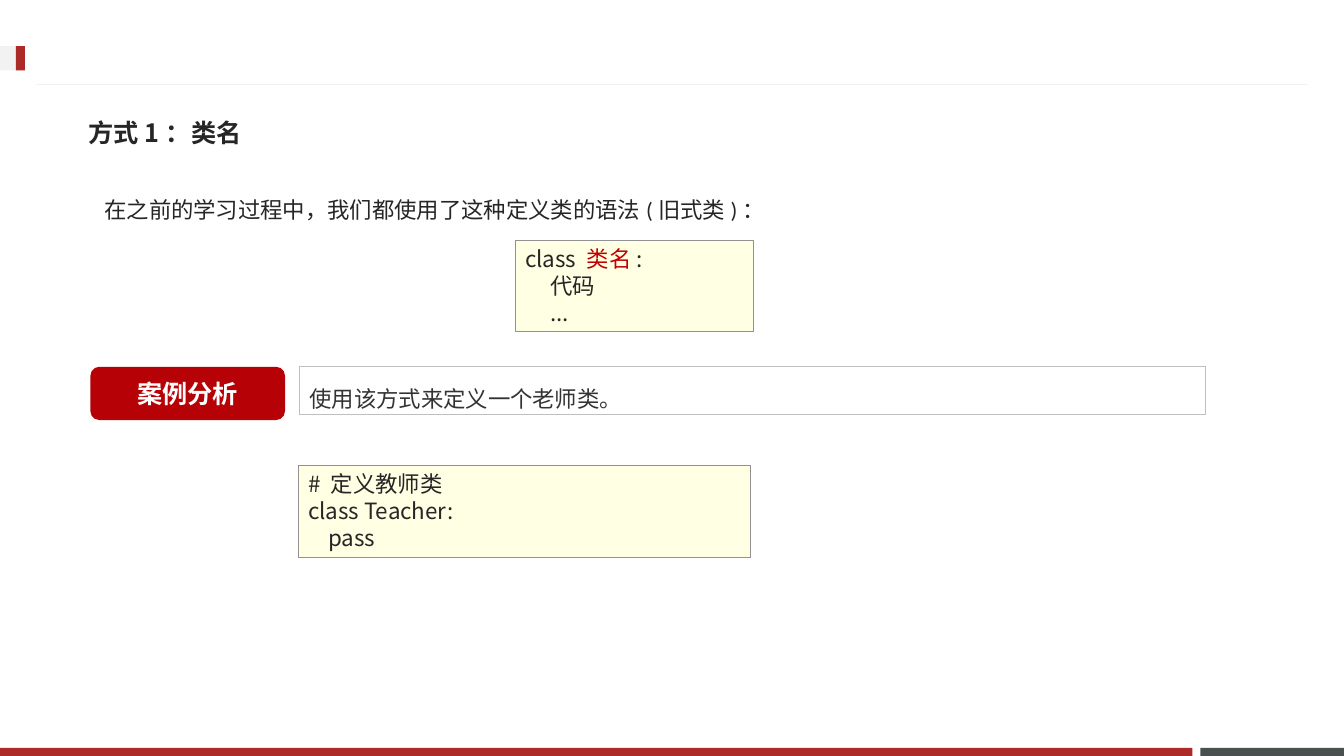
from lxml import etree
from pptx import Presentation
from pptx.dml.color import RGBColor
from pptx.enum.shapes import MSO_CONNECTOR, MSO_SHAPE
from pptx.enum.text import MSO_ANCHOR, MSO_AUTO_SIZE, PP_ALIGN
from pptx.oxml.ns import qn
from pptx.util import Pt

RECTANGLE, ROUNDED = MSO_SHAPE.RECTANGLE, MSO_SHAPE.ROUNDED_RECTANGLE
TOP, MIDDLE = MSO_ANCHOR.TOP, MSO_ANCHOR.MIDDLE
LEFT, CENTER = PP_ALIGN.LEFT, PP_ALIGN.CENTER
GROW, FIXED = MSO_AUTO_SIZE.SHAPE_TO_FIT_TEXT, MSO_AUTO_SIZE.NONE

WHITE = RGBColor(0xFF, 0xFF, 0xFF)
INK = RGBColor(0x26, 0x26, 0x26)
CASE_INK = RGBColor(0x33, 0x33, 0x33)
KEYWORD_RED = RGBColor(0xC0, 0x00, 0x00)
BADGE_RED = RGBColor(0xB6, 0x02, 0x06)
BAR_RED = RGBColor(0xAD, 0x2B, 0x26)
BAR_GREY = RGBColor(0x49, 0x50, 0x4F)
PALE_GREY = RGBColor(0xF2, 0xF2, 0xF2)
CASE_BORDER = RGBColor(0xBF, 0xBF, 0xBF)
CODE_FILL = RGBColor(0xFF, 0xFF, 0xE4)
CODE_BORDER = RGBColor(0x91, 0x91, 0x91)

CJK_FONT = "Noto Sans CJK JP"
WIDTH, HEIGHT = 960, 540
BAR_HEIGHT = 5.75
RULE_Y, RULE_MARGIN = 60.5, 25.5

# Each line is a list of (text, colour) runs.
TITLE = [[("方式1：类名", INK)]]
INTRO = [[("在之前的学习过程中，我们都使用了这种定义类的语法(旧式类)：", INK)]]
SYNTAX = [
    [("class ", INK), ("类名", KEYWORD_RED), (":", INK)],
    [("     代码", INK)],
    [("     ...", INK)],
]
BADGE = [[("案例分析", WHITE)]]
CASE = [[("使用该方式来定义一个老师类。", CASE_INK)]]
TEACHER = [[("# 定义教师类", INK)], [("class Teacher:", INK)], [("    pass", INK)]]

BARS = [  # left, top, width, height, fill
    (857.4, HEIGHT - BAR_HEIGHT, WIDTH - 857.4, BAR_HEIGHT, BAR_GREY),
    (0, HEIGHT - BAR_HEIGHT, 851.8, BAR_HEIGHT, BAR_RED),
    (0, 33, 17.8, 17.4, PALE_GREY),
    (11.3, 33, 6.5, 17.4, BAR_RED),
]

CODE_FORMAT = {"name": CJK_FONT, "size": Pt(16)}
BOXES = [  # preset, (left, top, width, height), fill, (border, weight), lines, font
    (RECTANGLE, (368, 171.4, 170, 65.5), CODE_FILL, (CODE_BORDER, 0.25),
     SYNTAX, CODE_FORMAT, {}),
    (ROUNDED, (64.6, 262, 139, 38), BADGE_RED, None, BADGE,
     {"name": "Lato", "size": Pt(18), "bold": True},
     {"anchor": MIDDLE, "alignment": CENTER, "auto_size": FIXED}),
    (RECTANGLE, (214, 262, 647, 33.8), None, (CASE_BORDER, 0.75), CASE,
     {"name": "Open Sans", "size": Pt(16)}, {"spacing": 1.5}),
    (RECTANGLE, (213, 332.6, 323, 65.5), CODE_FILL, (CODE_BORDER, 0.25),
     TEACHER, CODE_FORMAT, {}),
]


def place(shape, left, top, width, height):
    shape.left, shape.top = Pt(left), Pt(top)
    shape.width, shape.height = Pt(width), Pt(height)


def write(shape, lines, font_format, anchor=TOP, alignment=LEFT,
          auto_size=GROW, spacing=1.0):
    frame = shape.text_frame
    frame.word_wrap = True
    frame.vertical_anchor = anchor
    frame.auto_size = auto_size
    for index, line in enumerate(lines):
        paragraph = frame.add_paragraph() if index else frame.paragraphs[0]
        paragraph.alignment = alignment
        paragraph.line_spacing = spacing
        paragraph.space_before = Pt(0)
        for text, colour in line:
            run = paragraph.add_run()
            run.text = text
            for attribute, value in font_format.items():
                setattr(run.font, attribute, value)
            run.font.color.rgb = colour
            east_asian = etree.SubElement(run._r.get_or_add_rPr(), qn("a:ea"))
            east_asian.set("typeface", CJK_FONT)


def add_box(slide, preset, bounds, fill=None, border=None):
    shape = slide.shapes.add_shape(preset, *map(Pt, bounds))
    shape.shadow.inherit = False
    if fill is None:
        shape.fill.background()
    else:
        shape.fill.solid()
        shape.fill.fore_color.rgb = fill
    if border is None:
        shape.line.fill.background()
    else:
        shape.line.color.rgb = border[0]
        shape.line.width = Pt(border[1])
    return shape


def main():
    presentation = Presentation()
    presentation.slide_width, presentation.slide_height = Pt(WIDTH), Pt(HEIGHT)
    slide = presentation.slides.add_slide(presentation.slide_layouts[5])

    for *bounds, fill in BARS:
        add_box(slide, RECTANGLE, bounds, fill)
    rule = slide.shapes.add_connector(
        MSO_CONNECTOR.STRAIGHT, Pt(RULE_MARGIN), Pt(RULE_Y),
        Pt(WIDTH - RULE_MARGIN), Pt(RULE_Y))
    rule.line.color.rgb = PALE_GREY
    rule.line.width = Pt(0.75)
    etree.SubElement(rule._element.spPr, qn("a:effectLst"))

    title = slide.shapes.title
    place(title, 56, 74, 842, 41)
    write(title, TITLE, {"name": CJK_FONT, "size": Pt(18), "bold": True},
          anchor=MIDDLE, auto_size=FIXED)

    intro = slide.shapes.add_textbox(*map(Pt, (67.5, 126.8, 600, 36)))
    write(intro, INTRO, {"name": "Calibri", "size": Pt(16)}, spacing=1.5)

    for preset, bounds, fill, border, lines, font_format, layout in BOXES:
        box = add_box(slide, preset, bounds, fill, border)
        write(box, lines, font_format, **layout)

    presentation.save("out.pptx")


if __name__ == "__main__":
    main()
